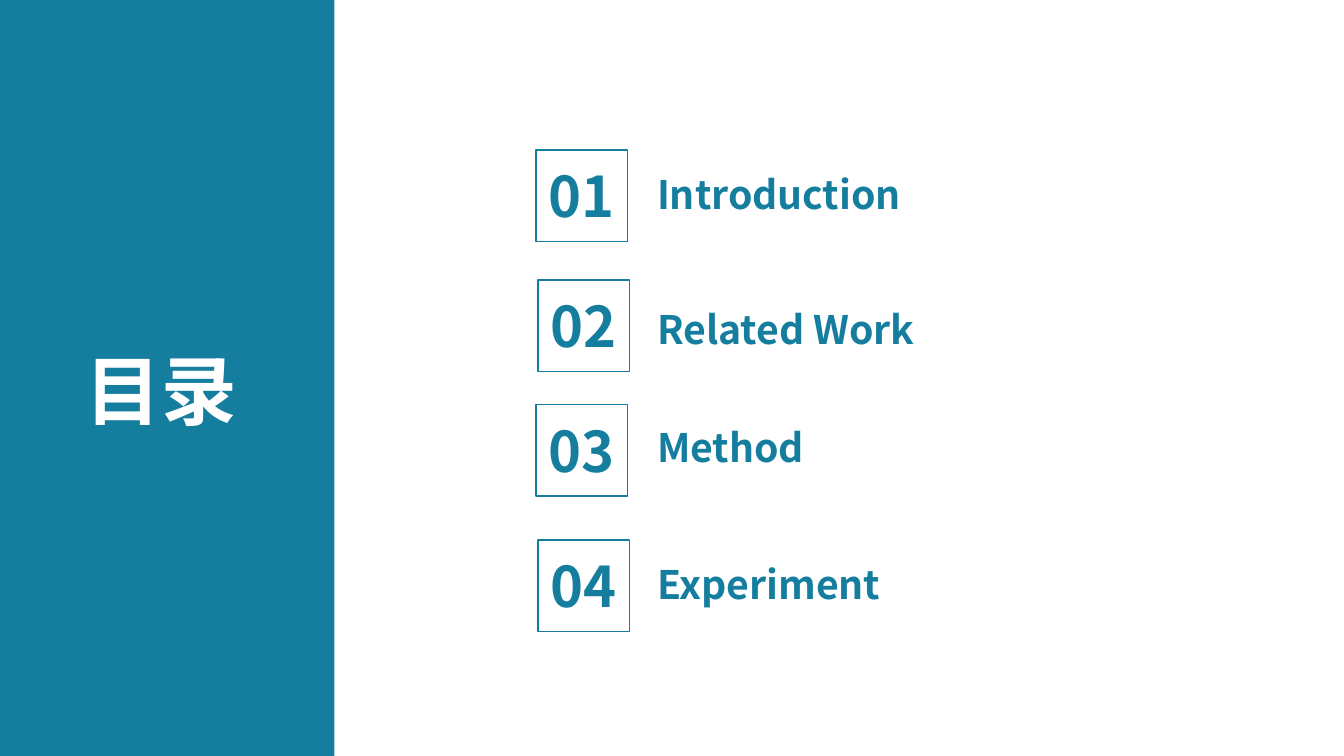
from pptx import Presentation
from pptx.dml.color import RGBColor
from pptx.enum import shapes, text
from pptx.oxml import parse_xml
from pptx.oxml.ns import nsdecls
from pptx.util import Cm, Pt

TEAL = RGBColor(0x15, 0x7E, 0x9F)
WHITE = RGBColor(0xFF, 0xFF, 0xFF)
FONT = "Noto Sans CJK SC"
SIDE = 2.31  # number box, cm

# number, topic, box left, box top, topic top, topic width (cm)
ITEMS = [
    ("01", "Introduction", 13.51, 3.78, 4.17, 12.37),
    ("02", "Related Work", 13.56, 7.06, 7.57, 12.37),
    ("03", "Method", 13.51, 10.19, 10.54, 16.99),
    ("04", "Experiment", 13.56, 13.61, 14.0, 15.04),
]


def write(shape, words, size, color, align=text.PP_ALIGN.LEFT, wrap=True):
    frame = shape.text_frame
    frame.text = words
    frame.word_wrap = wrap
    frame.auto_size = text.MSO_AUTO_SIZE.SHAPE_TO_FIT_TEXT
    frame.vertical_anchor = text.MSO_ANCHOR.TOP
    para = frame.paragraphs[0]
    para.alignment = align
    font = para.runs[0].font
    font.name, font.size, font.bold = FONT, Pt(size), True
    font.color.rgb = color
    # East Asian glyphs take their typeface from a:ea
    latin = para.runs[0]._r.rPr.find(".//{*}latin")
    latin.addnext(parse_xml(f'<a:ea {nsdecls("a")} typeface="{FONT}"/>'))


def add_text(slide, left, top, width, height, *args):
    box = slide.shapes.add_textbox(Cm(left), Cm(top), Cm(width), Cm(height))
    write(box, *args)


def add_rect(slide, left, top, width, height):
    rect = slide.shapes.add_shape(
        shapes.MSO_SHAPE.RECTANGLE, Cm(left), Cm(top), Cm(width), Cm(height))
    rect.shadow.inherit = False
    return rect


def add_title(slide, words):
    """Place the title on a teal side panel."""
    title = slide.shapes.title
    title.left, title.top = Cm(1.9), Cm(8.53)
    title.width, title.height = Cm(4.37), Cm(2.57)
    write(title, words, 54, WHITE, text.PP_ALIGN.LEFT, False)
    panel = add_rect(slide, 0, 0, 8.43, 19.05)
    panel.fill.solid()
    panel.fill.fore_color.rgb = TEAL
    panel.line.fill.background()
    title._element.addprevious(panel._element)  # panel goes behind the title


def add_item(slide, number, topic, left, top, row, width):
    add_text(slide, 16.31, row, width, 1.45, topic, 28, TEAL)
    add_text(slide, left, top + 0.17, SIDE, 1.96, number, 40, TEAL,
             text.PP_ALIGN.CENTER)
    frame = add_rect(slide, left, top, SIDE, SIDE)
    frame.fill.background()
    frame.line.color.rgb = TEAL
    frame.line.width = Pt(1)


def main():
    deck = Presentation()
    deck.slide_width, deck.slide_height = Cm(33.87), Cm(19.05)
    slide = deck.slides.add_slide(deck.slide_layouts.get_by_name("Title Only"))
    add_title(slide, "目录")
    for item in ITEMS:
        add_item(slide, *item)
    deck.save("out.pptx")


if __name__ == "__main__":
    main()
